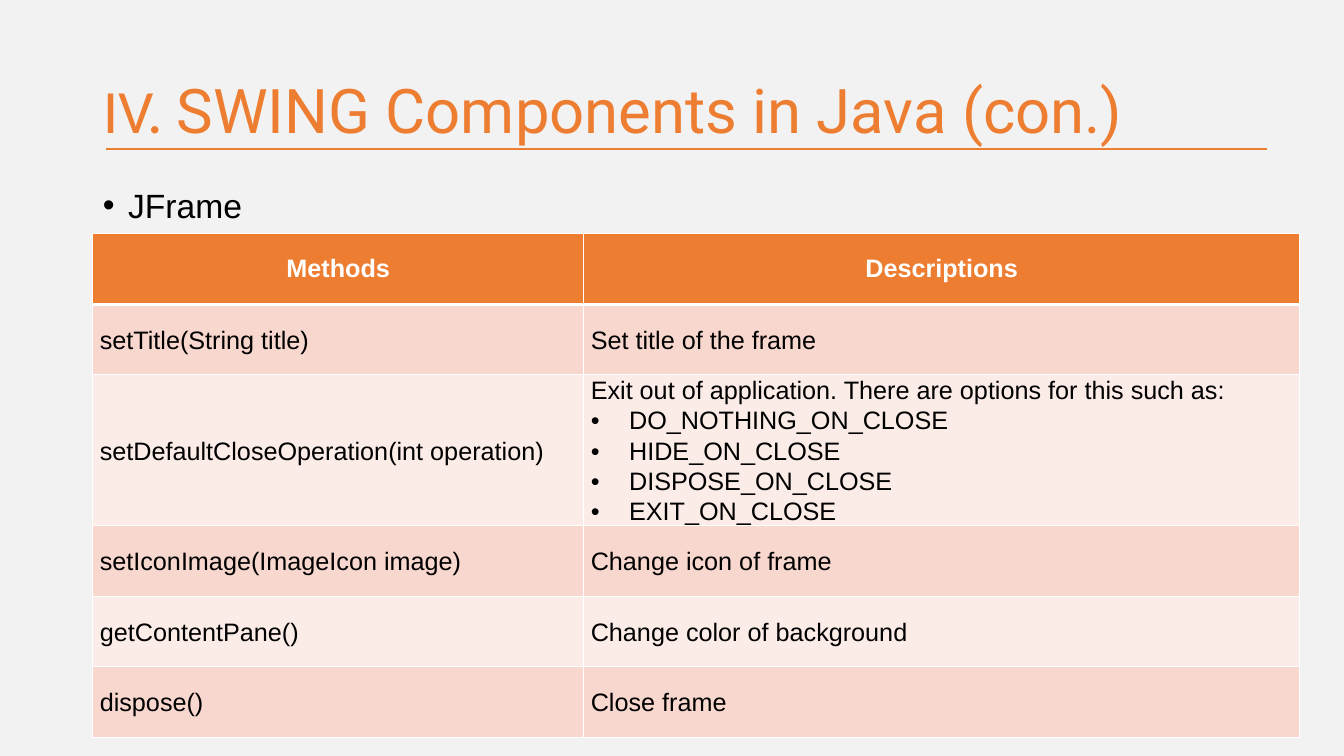
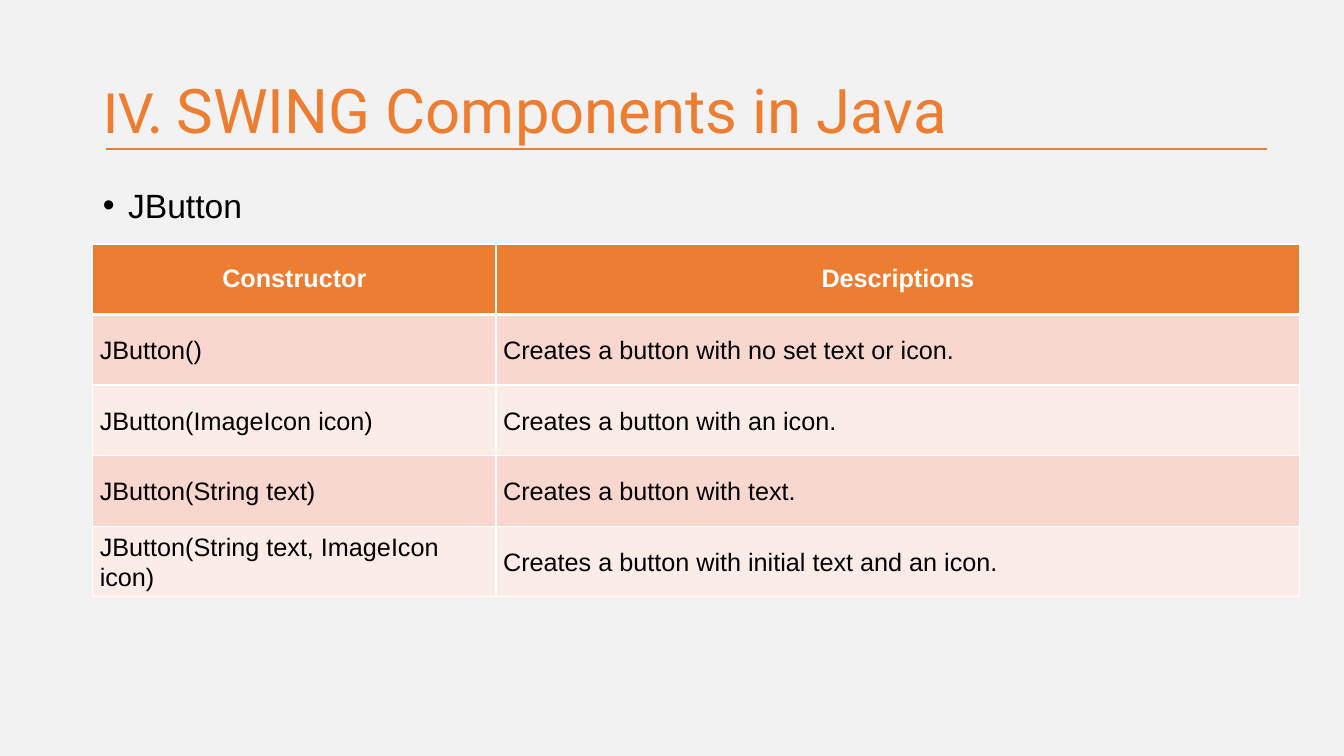
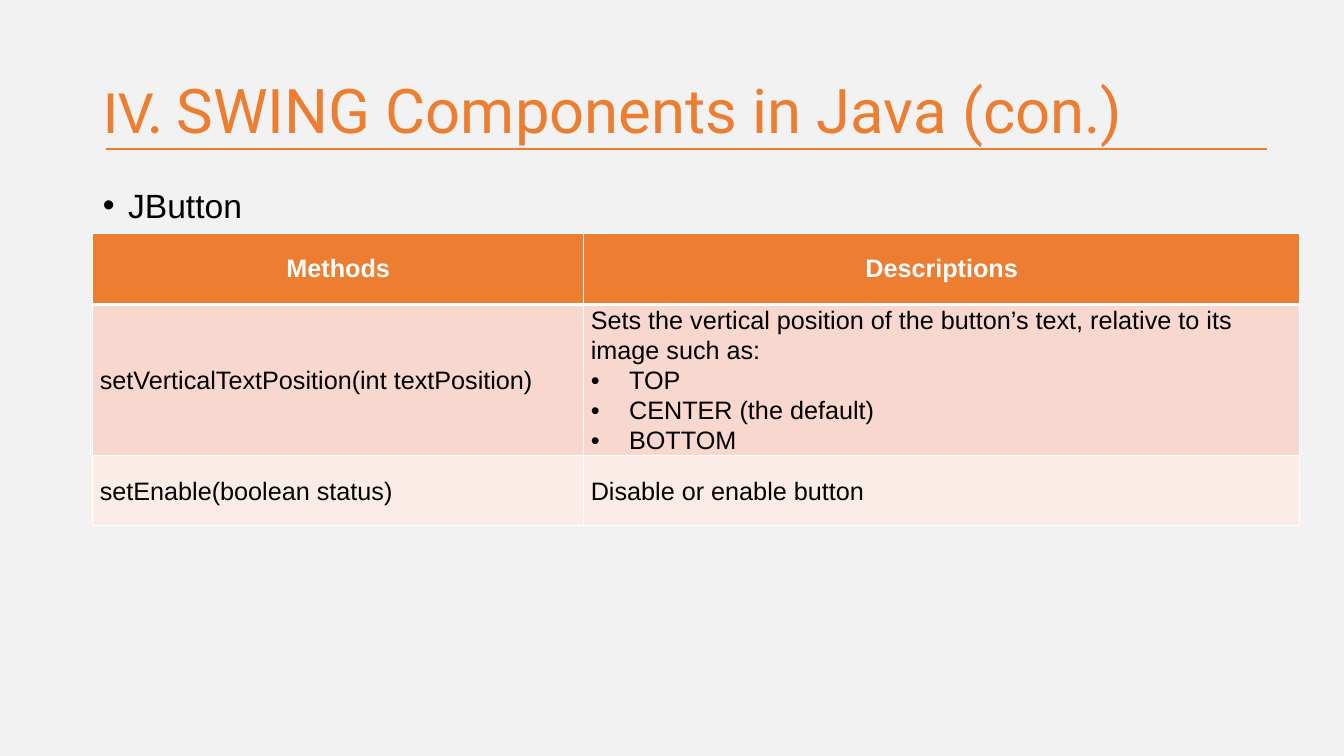
from pptx import Presentation
from pptx.dml.color import RGBColor
from pptx.enum.shapes import MSO_CONNECTOR as Conn
from pptx.enum.text import MSO_ANCHOR as Anchor, PP_ALIGN as Align
from pptx.oxml.ns import qn
from pptx.util import Inches, Pt
from lxml.etree import SubElement

ACCENT, PAPER, WHITE, BLACK = "ED7D31", "F2F2F2", "FFFFFF", "000000"
BANDS = ["F8D7CE", "FCECE8"]
LEFT, WIDTH, ROW = 0.92, 11.97, 0.7

FRAME = [
    ("Methods", "Descriptions"),
    ("setTitle(String title)", "Set title of the frame"),
    ("setDefaultCloseOperation(int operation)",
     ["Exit out of application. There are options for this such as:",
      "DO_NOTHING_ON_CLOSE", "HIDE_ON_CLOSE", "DISPOSE_ON_CLOSE", "EXIT_ON_CLOSE"]),
    ("setIconImage(ImageIcon image)", "Change icon of frame"),
    ("getContentPane()", "Change color of background"),
    ("dispose()", "Close frame"),
]
BUILD = [
    ("Constructor", "Descriptions"),
    ("JButton()", "Creates a button with no set text or icon."),
    ("JButton(ImageIcon icon)", "Creates a button with an icon."),
    ("JButton(String text)", "Creates a button with text."),
    ("JButton(String text, ImageIcon icon)",
     "Creates a button with initial text and an icon."),
]
BUTTON = [
    ("Methods", "Descriptions"),
    ("setVerticalTextPosition(int textPosition)",
     ["Sets the vertical position of the button’s text, relative to its image such as:",
      "TOP", "CENTER (the default)", "BOTTOM"]),
    ("setEnable(boolean status)", "Disable or enable button"),
]


def paint(fill, color):
    fill.solid()
    fill.fore_color.rgb = RGBColor.from_string(color)


def style(font, name, size, color, bold=False):
    font.name, font.size, font.bold = name, Pt(size), bold
    font.color.rgb = RGBColor.from_string(color)


def bullet(para, indent):
    props = para._p.get_or_add_pPr()
    props.set("marL", str(Inches(indent)))
    props.set("indent", str(-Inches(indent)))
    SubElement(props, qn("a:buFont"), typeface="Arial")
    SubElement(props, qn("a:buChar"), char="•")


def border(cell, **widths):
    """Add white cell edges; widths in points, in the order L, R, T, B."""
    props = cell._tc.get_or_add_tcPr()
    for side, width in widths.items():
        line = SubElement(props, qn("a:ln" + side), w=str(Pt(width)))
        SubElement(SubElement(line, qn("a:solidFill")), qn("a:srgbClr"), val=WHITE)


def add_rule(slide, layout):
    """Draw the title rule and hand it to the layout, so all slides share it."""
    rule = slide.shapes.add_connector(
        Conn.STRAIGHT, Inches(1.05), Inches(1.48), Inches(12.57), Inches(1.48))
    rule.line.color.rgb = RGBColor.from_string(ACCENT)
    rule.line.width = Pt(1.5)
    SubElement(rule.element.spPr, qn("a:effectLst"))
    layout.shapes.element.append(rule.element)


def set_layout(deck):
    paint(deck.slide_master.background.fill, PAPER)
    layout = deck.slide_layouts[1]
    for index, top, height in [(0, 0.4, 1.45), (1, 1.58, 5.71)]:
        box = layout.placeholders[index]
        box.left, box.top = Inches(LEFT), Inches(top)
        box.width, box.height = Inches(11.5), Inches(height)
    return layout


def add_title(slide, text):
    para = slide.shapes.title.text_frame.paragraphs[0]
    para.alignment, para.line_spacing = Align.LEFT, 0.9
    for part, name in [("IV. ", "Calibri"), (text, "Roboto")]:
        run = para.add_run()
        run.text = part
        style(run.font, name, 44, ACCENT)


def add_topic(slide, text):
    para = slide.placeholders[1].text_frame.paragraphs[0]
    para.text = text
    bullet(para, 0.25)
    para.line_spacing, para.space_before = 1.5, Pt(0)
    style(para.runs[0].font, "Arial", 24, BLACK)


def fill_cell(cell, text, row):
    head = row == 0
    lines = [text] if isinstance(text, str) else text
    cell.text_frame.text = "\n".join(lines)
    cell.vertical_anchor = Anchor.MIDDLE
    if not head:
        cell.margin_left = cell.margin_right = Inches(0.07)
        cell.margin_top = cell.margin_bottom = 0
    for place, para in enumerate(cell.text_frame.paragraphs):
        if place:
            bullet(para, 0.38)
        para.alignment = Align.CENTER if head else Align.LEFT
        para.line_spacing = 1 if head else 1.07
        style(para.runs[0].font, "Arial", 18, WHITE if head else BLACK, head)
    border(cell, L=1, R=1, T=3 if row == 1 else 1, B=3 if head else 1)
    paint(cell.fill, ACCENT if head else BANDS[(row - 1) % 2])


def add_grid(slide, rows, top, first):
    table = slide.shapes.add_table(
        len(rows), 2, Inches(LEFT), Inches(top),
        Inches(WIDTH), Inches(ROW * len(rows))).table
    table.columns[0].width = Inches(first)
    table.columns[1].width = Inches(WIDTH - first)
    for row, texts in enumerate(rows):
        for col, text in enumerate(texts):
            fill_cell(table.cell(row, col), text, row)


def main():
    deck = Presentation()
    deck.slide_width, deck.slide_height = Inches(13.33), Inches(7.5)
    layout = set_layout(deck)
    title = "SWING Components in Java"
    more = title + " (con.)"
    for head, topic, rows, top, first in [
        (more, "JFrame", FRAME, 2.32, 4.87),
        (title, "JButton", BUILD, 2.42, 4),
        (more, "JButton", BUTTON, 2.32, 4.87),
    ]:
        slide = deck.slides.add_slide(layout)
        add_title(slide, head)
        add_topic(slide, topic)
        add_grid(slide, rows, top, first)
    add_rule(deck.slides[0], layout)
    deck.save("out.pptx")


if __name__ == "__main__":
    main()
